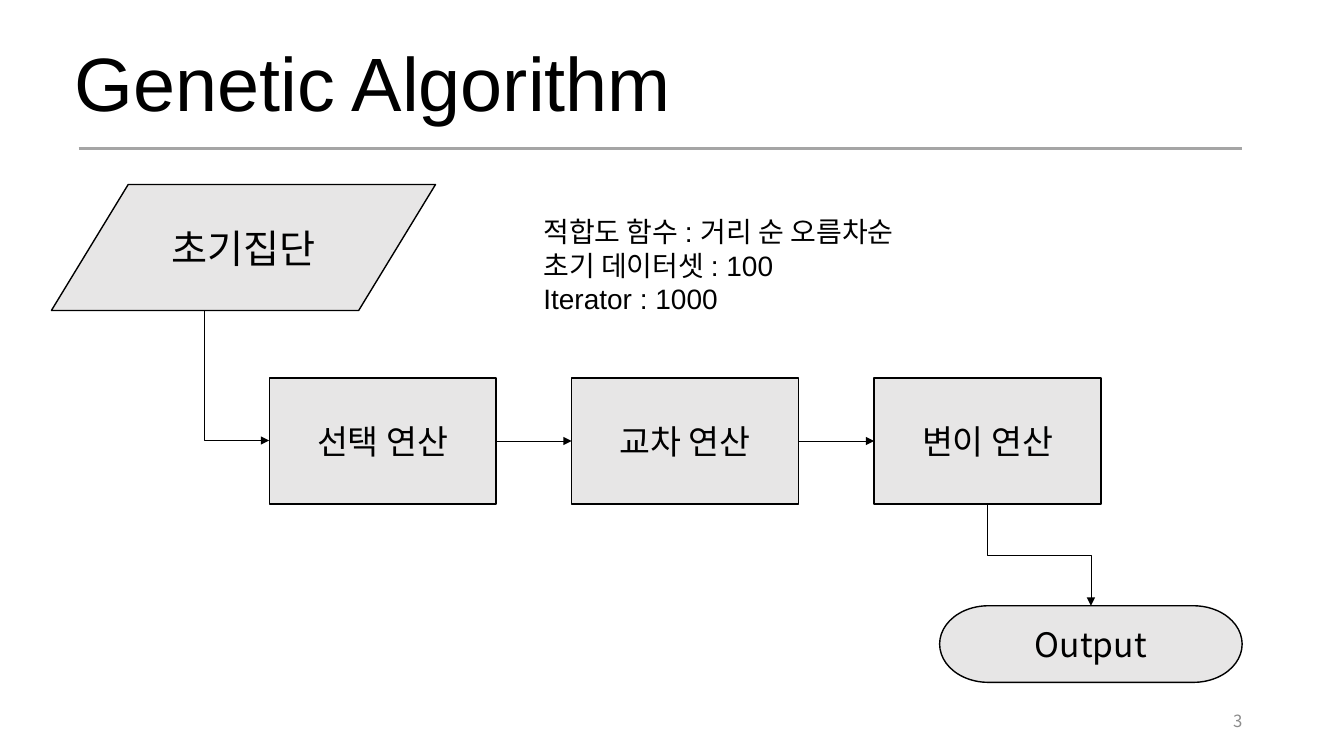
import pptx
import pptx.dml.color
import pptx.enum.shapes
import pptx.enum.text
import pptx.oxml
import pptx.oxml.ns
import pptx.util
from pptx.util import Inches

KINDS = pptx.enum.shapes.MSO_SHAPE
LINKS = pptx.enum.shapes.MSO_CONNECTOR
ALIGN = pptx.enum.text.PP_ALIGN
ANCHOR = pptx.enum.text.MSO_ANCHOR
SANS = "Noto Sans CJK KR"
QUARTER = 60000 * 90


def color(code):
    return pptx.dml.color.RGBColor.from_string(code)


def add_child(parent, tag, **attrs):
    child = pptx.oxml.parse_xml(f"<a:{tag} {pptx.oxml.ns.nsdecls('a')}/>")
    for name, value in attrs.items():
        child.set(name, value)
    parent.append(child)


def set_text(frame, text, size, font, code="000000", align=ALIGN.LEFT):
    frame.text = text
    for para in frame.paragraphs:
        para.alignment = align
        for run in para.runs:
            run.font.size = pptx.util.Pt(size)
            run.font.name = font
            run.font.color.rgb = color(code)
            add_child(run.font._element, "ea", typeface=SANS)


def add_label(slide, box, text, size, font, **style):
    label = slide.shapes.add_textbox(*map(Inches, box))
    label.text_frame.word_wrap = False
    set_text(label.text_frame, text, size, font, **style)
    return label


def add_step(slide, kind, box, text, size=24, font=SANS):
    step = slide.shapes.add_shape(kind, *map(Inches, box))
    step.shadow.inherit = False
    step.fill.solid()
    step.fill.fore_color.rgb = color("E7E6E6")
    step.line.color.rgb = color("000000")
    step.line.width = pptx.util.Pt(1)
    step.text_frame.vertical_anchor = ANCHOR.MIDDLE
    set_text(step.text_frame, text, size, font, align=ALIGN.CENTER)
    return step


def add_line(slide, start, end, code="000000", width=0.5, kind=LINKS.STRAIGHT):
    line = slide.shapes.add_connector(kind, *map(Inches, start + end))
    line.line.color.rgb = color(code)
    line.line.width = pptx.util.Pt(width)
    add_child(line._element.spPr, "effectLst")
    return line


def add_head(line):
    add_child(line.line._get_or_add_ln(), "tailEnd", type="triangle")


def add_arrow(slide, left, right):
    """Join two steps of one row."""
    line = add_line(slide, (0, 0), (0, 0))
    line.begin_connect(left, 3)
    line.end_connect(right, 1)
    add_head(line)


def add_elbow(slide, start, end, preset):
    """Draw a bent arrow that leaves downwards: a flipped one, turned by 270 degrees."""
    (x1, y1), (x2, y2) = start, end
    mid_x, mid_y = (x1 + x2) / 2, (y1 + y2) / 2
    half_w, half_h = (y2 - y1) / 2, (x2 - x1) / 2
    line = add_line(slide, (mid_x + half_w, mid_y - half_h),
                    (mid_x - half_w, mid_y + half_h), kind=LINKS.ELBOW)
    props = line._element.spPr
    props.find(pptx.oxml.ns.qn("a:xfrm")).set("rot", str(3 * QUARTER))
    props.find(pptx.oxml.ns.qn("a:prstGeom")).set("prst", preset)
    add_head(line)


def main():
    deck = pptx.Presentation()
    deck.slide_width, deck.slide_height = Inches(13.33), Inches(7.5)
    slide = deck.slides.add_slide(deck.slide_layouts[6])

    number = add_label(slide, (9.42, 6.95, 3, 0.4), "3", 12, SANS,
                       code="8C8C8C", align=ALIGN.RIGHT)
    number.text_frame.word_wrap = True
    number.text_frame.vertical_anchor = ANCHOR.MIDDLE
    add_line(slide, (0.78, 1.47), (12.32, 1.47), "A5A5A5", 2.25)
    add_label(slide, (0.64, 0.31, 6.3, 1.01), "Genetic Algorithm", 54, "Arial")

    add_step(slide, KINDS.FLOWCHART_DATA, (0.51, 1.83, 3.81, 1.25),
             "초기집단", 28, "Arial")
    steps = [add_step(slide, KINDS.FLOWCHART_PROCESS,
                      (2.67 + 3 * col, 3.75, 2.25, 1.25), text)
             for col, text in enumerate(("선택 연산", "교차 연산", "변이 연산"))]
    add_step(slide, KINDS.FLOWCHART_TERMINATOR, (9.32, 6.01, 3, 0.76), "Output")

    add_elbow(slide, (2.03, 3.08), (2.67, 4.37), "bentConnector2")
    add_elbow(slide, (9.79, 5), (10.82, 6.01), "bentConnector3")
    for left, right in zip(steps, steps[1:]):
        add_arrow(slide, left, right)

    facts = ("적합도 함수 : 거리 순 오름차순", "초기 데이터셋 : 100", "Iterator : 1000")
    add_label(slide, (5.29, 2.08, 4.01, 1.11), "\n".join(facts), 20, "Arial")
    deck.save("out.pptx")


if __name__ == "__main__":
    main()
